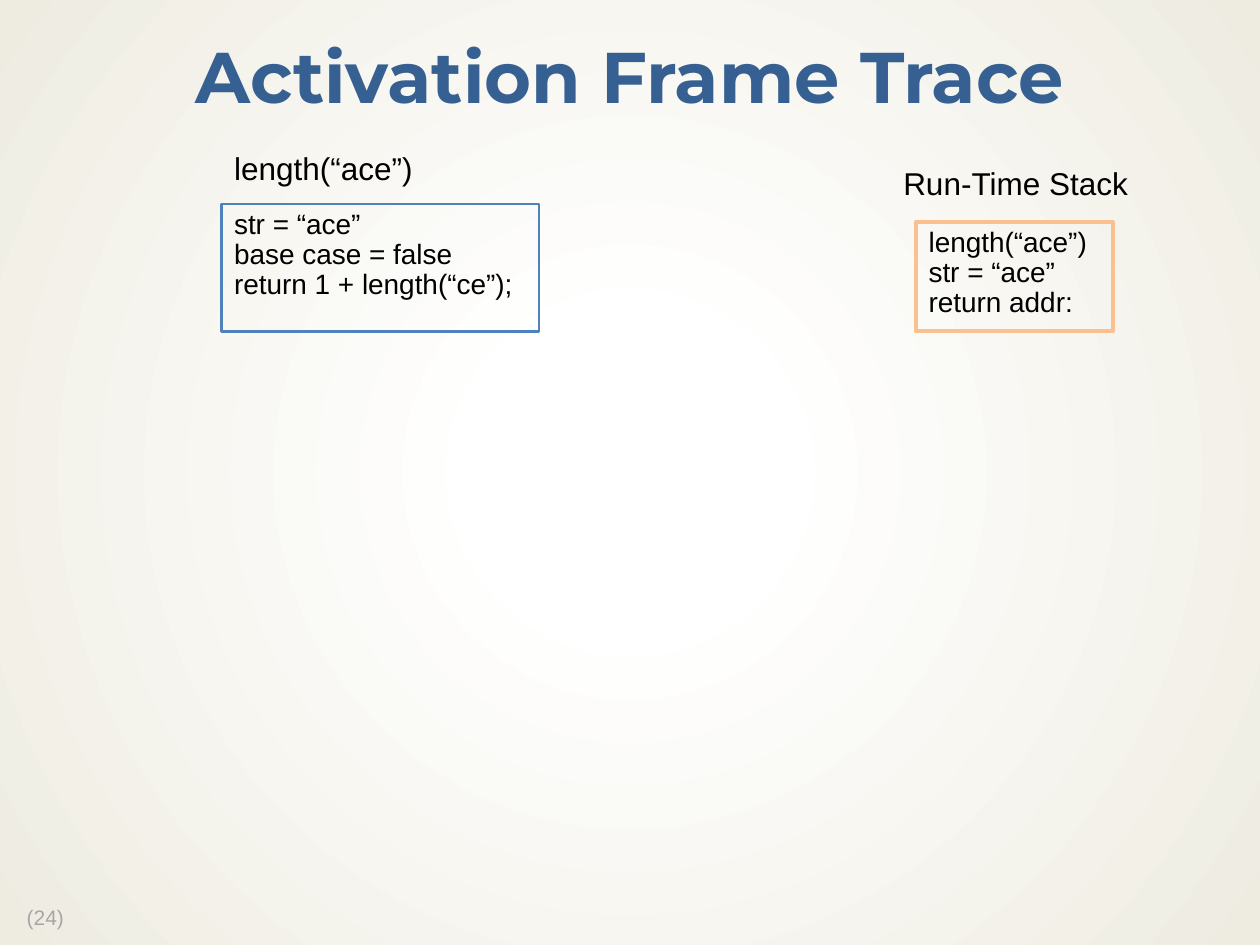
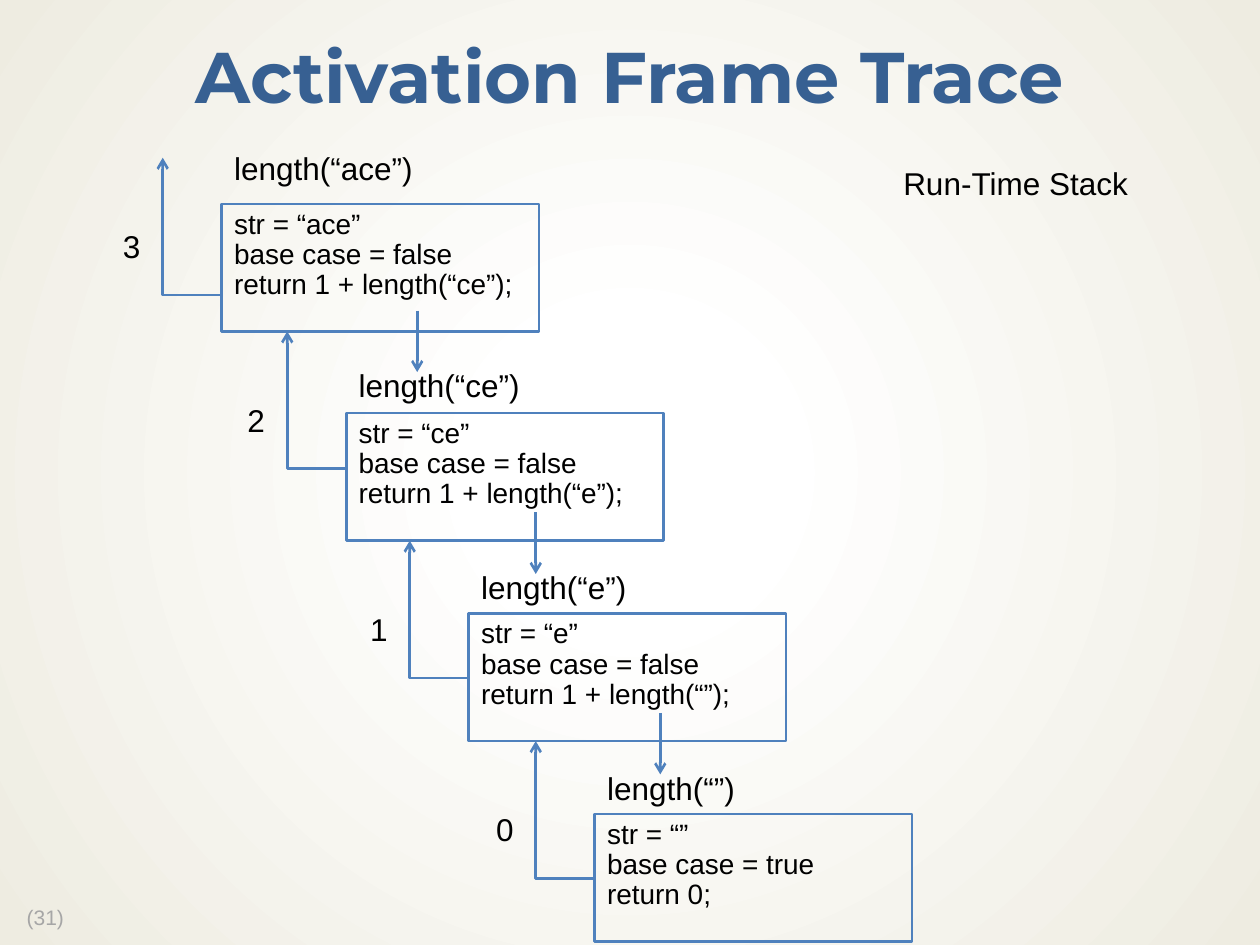
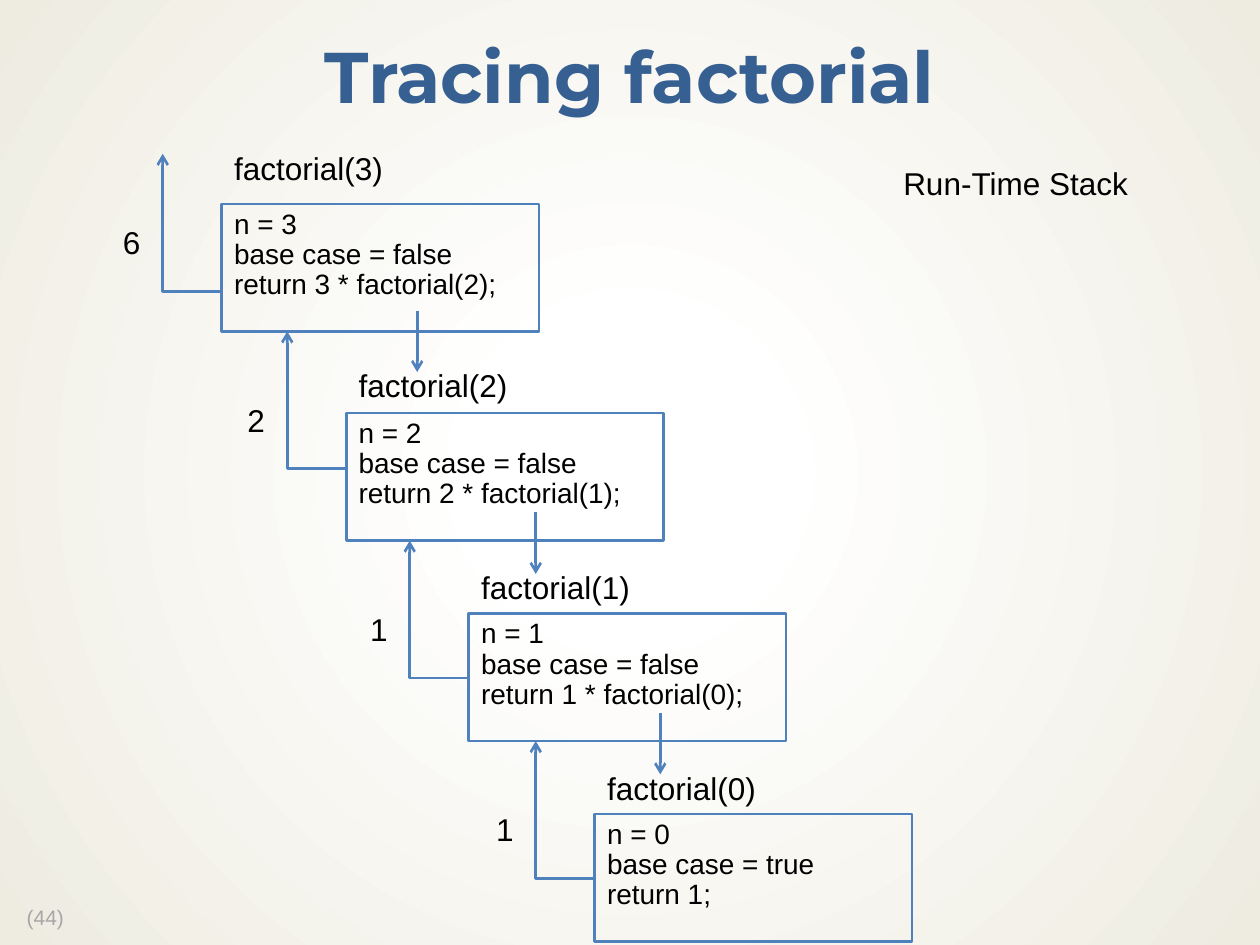
import dataclasses

import pptx
import pptx.dml.color
import pptx.enum.shapes
import pptx.enum.text
import pptx.oxml
import pptx.oxml.ns
import pptx.util

Cm = pptx.util.Cm
Pt = pptx.util.Pt
qn = pptx.oxml.ns.qn
ALIGN = pptx.enum.text.PP_ALIGN
SHAPE = pptx.enum.shapes.MSO_SHAPE
CONNECTOR = pptx.enum.shapes.MSO_CONNECTOR


@dataclasses.dataclass(frozen=True)
class Theme:
    title: str = "376092"
    text: str = "000000"
    muted: str = "A6A6A6"
    frame: str = "4F81BD"
    stack: str = "FAC090"
    center: str = "FFFFFF"
    edge: str = "EEECE1"
    title_font: str = "Montserrat"
    body_font: str = "Arial"
    title_size: float = 41
    label_size: float = 18
    code_size: float = 16
    number_size: float = 12
    frame_line: float = 1.5
    stack_line: float = 2.25


def rgb(value):
    return pptx.dml.color.RGBColor.from_string(value)


def write(tf, text, *, size, color, font, bold=False, align=ALIGN.LEFT, spacing=1.0):
    for i, line in enumerate(text.split("\n")):
        p = tf.paragraphs[0] if i == 0 else tf.add_paragraph()
        p.alignment = align
        p.line_spacing = spacing
        r = p.add_run()
        r.text = line
        r.font.size = Pt(size)
        r.font.name = font
        r.font.bold = bold
        r.font.color.rgb = rgb(color)


class Deck:
    BOX_W, BOX_H = 6.4, 2.57
    RETURN_W, RETURN_H = 1.19, 2.77

    def __init__(self, prs, theme):
        self.prs = prs
        self.theme = theme
        self.s = None
        self.background()

    def background(self):
        master = self.prs.slide_master
        master.background.fill.gradient()
        old = master.element.find(".//" + qn("a:gradFill"))
        new = pptx.oxml.parse_xml(
            f'<a:gradFill {pptx.oxml.ns.nsdecls("a")} rotWithShape="1"><a:gsLst>'
            f'<a:gs pos="18000"><a:srgbClr val="{self.theme.center}"><a:alpha val="53000"/></a:srgbClr></a:gs>'
            f'<a:gs pos="100000"><a:srgbClr val="{self.theme.edge}"/></a:gs></a:gsLst>'
            '<a:path path="circle"><a:fillToRect l="50000" t="50000" r="50000" b="50000"/></a:path>'
            '</a:gradFill>')
        old.getparent().replace(old, new)

    def slide(self, title, number):
        t = self.theme
        self.s = self.prs.slides.add_slide(self.prs.slide_layouts[6])
        self.label(f"({number})", 0.29, 18.16, 1.3, 0.71, size=t.number_size, color=t.muted, spacing=0.9)
        tf = self.s.shapes.add_textbox(0, Cm(0.43), self.prs.slide_width, Cm(2.39)).text_frame
        tf.word_wrap = True
        tf.vertical_anchor = pptx.enum.text.MSO_ANCHOR.MIDDLE
        tf.margin_left = tf.margin_right = Cm(0.33)
        tf.margin_top = tf.margin_bottom = Cm(0.15)
        write(tf, title, size=t.title_size, color=t.title, font=t.title_font,
              bold=True, align=ALIGN.CENTER, spacing=0.9)
        self.label("Run-Time Stack", 17.96, 3.18, 5.08)

    def label(self, text, left, top, width, height=1.02, **fmt):
        fmt = {"size": self.theme.label_size, "color": self.theme.text, "font": self.theme.body_font} | fmt
        tf = self.s.shapes.add_textbox(Cm(left), Cm(top), Cm(width), Cm(height)).text_frame
        tf.word_wrap = False
        tf.auto_size = pptx.enum.text.MSO_AUTO_SIZE.SHAPE_TO_FIT_TEXT
        write(tf, text, **fmt)

    def box(self, text, left, top, width, height, color, line):
        sp = self.s.shapes.add_shape(SHAPE.RECTANGLE, Cm(left), Cm(top), Cm(width), Cm(height))
        sp.shadow.inherit = False
        sp.fill.background()
        sp.line.color.rgb = rgb(color)
        sp.line.width = Pt(line)
        tf = sp.text_frame
        tf.word_wrap = True
        tf.vertical_anchor = pptx.enum.text.MSO_ANCHOR.TOP
        write(tf, text, size=self.theme.code_size, color=self.theme.text,
              font=self.theme.body_font, spacing=0.9)

    def arrow(self, x1, y1, x2, y2, kind=CONNECTOR.STRAIGHT):
        sp = self.s.shapes.add_connector(kind, Cm(x1), Cm(y1), Cm(x2), Cm(y2))
        sp.line.color.rgb = rgb(self.theme.frame)
        sp.line.width = Pt(self.theme.frame_line)
        ln = sp.line._get_or_add_ln()
        ln.append(ln.makeelement(qn("a:tailEnd"), {"type": "arrow"}))
        spPr = sp._element.spPr
        spPr.append(spPr.makeelement(qn("a:effectLst"), {}))
        return spPr

    def call_frame(self, call, body, left, label_top, box_top, label_width):
        self.label(call, left, label_top, label_width)
        self.box(body, left, box_top, self.BOX_W, self.BOX_H, self.theme.frame, self.theme.frame_line)

    def return_arrow(self, value, left, top):
        x = left - self.RETURN_W
        spPr = self.arrow(x, top, left, top + self.RETURN_H, CONNECTOR.ELBOW)
        spPr.find(qn("a:prstGeom")).set("prst", "bentConnector2")
        spPr.find(qn("a:xfrm")).set("rot", "10800000")
        self.label(value, left - 2.24, top + 1.27, 0.86)

    def trace(self, calls, first_return_top):
        return_top = first_return_top
        for (call, body, value, label_width), (left, label_top, box_top, arrow_x) in zip(calls, FRAMES):
            self.call_frame(call, body, left, label_top, box_top, label_width)
            if arrow_x:
                self.arrow(arrow_x, label_top - 1, arrow_x, label_top + 0.24)
            self.return_arrow(value, left, return_top)
            return_top = box_top + self.BOX_H


FRAMES = [
    (4.47, 2.87, 4.11, None),
    (6.98, 7.26, 8.33, 8.41),
    (9.45, 11.33, 12.37, 10.8),
    (11.99, 15.37, 16.41, 13.31),
]


def length_calls():
    widths = [4.14, 3.78, 3.48, 3.12]
    for i, width in enumerate(widths):
        rest = "ace"[i:]
        result = f"1 + length(“{rest[1:]}”)" if rest else "0"
        body = f"str = “{rest}”\nbase case = {'false' if rest else 'true'}\nreturn {result};"
        yield f"length(“{rest}”)", body, str(len(rest)), width


def factorial_calls():
    for n, value in zip((3, 2, 1, 0), (6, 2, 1, 1)):
        result = f"{n} * factorial({n - 1})" if n else "1"
        body = f"n = {n}\nbase case = {'false' if n else 'true'}\nreturn {result};"
        yield f"factorial({n})", body, str(value), 3.53


def main():
    prs = pptx.Presentation()
    prs.slide_width, prs.slide_height = Cm(25.4), Cm(19.05)
    theme = Theme()
    deck = Deck(prs, theme)

    deck.slide("Activation Frame Trace", 24)
    call, body, _, label_width = next(length_calls())
    deck.call_frame(call, body, *FRAMES[0][:3], label_width)
    deck.box("length(“ace”)\nstr = “ace”\nreturn addr:", 18.47, 4.47, 3.96, 2.21,
             theme.stack, theme.stack_line)

    deck.slide("Activation Frame Trace", 31)
    deck.trace(length_calls(), 3.18)

    deck.slide("Tracing factorial", 44)
    deck.trace(factorial_calls(), 3.1)

    prs.save("out.pptx")


if __name__ == "__main__":
    main()
